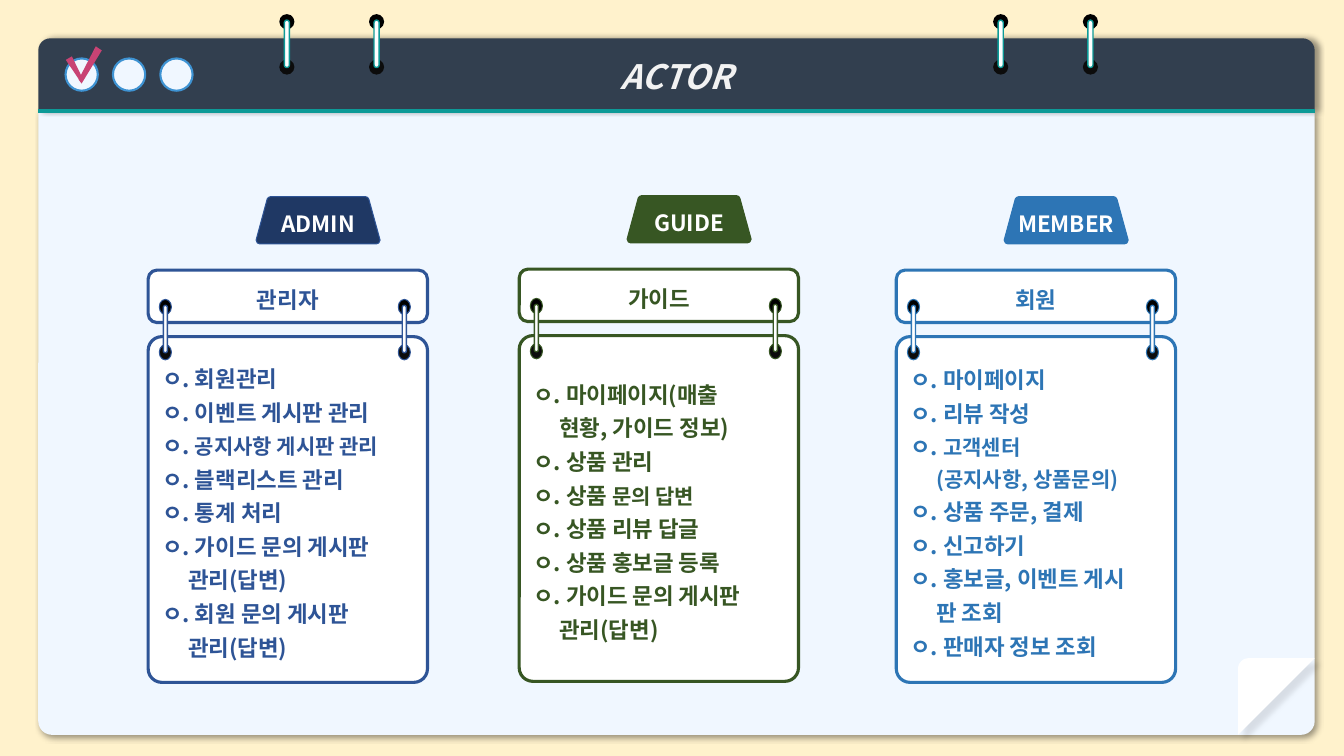
from pptx import Presentation
from pptx.dml.color import RGBColor
from pptx.enum.shapes import MSO_CONNECTOR, MSO_SHAPE as SHAPE
from pptx.enum.text import MSO_ANCHOR, PP_ALIGN as ALIGN
from pptx.oxml.ns import qn
from pptx.util import Inches, Pt
from lxml.etree import SubElement

THEME = {
    "font": "Noto Sans CJK KR",
    "cream": "FFF2CC", "page": "F0F7FF", "header": "323F4F", "teal": "0D9A97",
    "title": "F2F2F2", "white": "FFFFFF", "black": "000000", "hole": "0C0C0C",
    "dot": "3E93D3", "check": "C84374",
    "navy": "1F3864", "blue": "2E5496", "green": "375623", "sky": "2D75B5",
    "title_size": 24, "text_size": 16, "small_size": 15,
}
BADGE = [(0.12, 0), (0.88, 0), (0.9, 0.02), (0.91, 0.06), (1, 0.92), (0.99, 0.98),
         (0.97, 1), (0.03, 1), (0.01, 0.98), (0, 0.92), (0.09, 0.05), (0.1, 0.02)]
FOLD = [(0, 1), (0, 0.12), (0.01, 0.08), (0.04, 0.04), (0.08, 0.01), (0.13, 0), (1, 0)]
CHECK = [(1, 0.11), (0.13, 1), (0, 0.89), (0.74, 0)]

ACTORS = [
    (1.47, 2.68, "ADMIN", "관리자", "navy", "blue", [
        "ㅇ. 회원관리", "ㅇ. 이벤트 게시판 관리", "ㅇ. |공지사항 게시판 관리",
        "ㅇ. 블랙리스트 관리", "ㅇ. 통계 처리", "ㅇ. 가이드 문의 게시판", ">관리(답변)",
        "ㅇ. 회원 문의 게시판", ">관리(답변)"]),
    (5.15, 2.67, "GUIDE", "가이드", "green", "green", [
        "ㅇ. 마이페이지(매출", ">현황, 가이드 정보)", "ㅇ. 상품 관리", "ㅇ. 상품 |문의 답변",
        "ㅇ. 상품 리뷰 답글", "ㅇ. 상품 홍보글 등록", "ㅇ. 가이드 문의 게시판", ">관리(답변)"]),
    (8.89, 2.68, "MEMBER", "회원", "sky", "sky", [
        "ㅇ. 마이페이지", "ㅇ. 리뷰 작성", "ㅇ. |고객센터", ">|(공지사항, 상품문의)",
        "ㅇ. 상품 주문, 결제", "ㅇ. 신고하기", "ㅇ. 홍보글, 이벤트 게시", ">판 조회",
        "ㅇ. 판매자 정보 조회"]),
]

prs = Presentation()
prs.slide_width, prs.slide_height = Inches(13.33), Inches(7.5)
slide = prs.slides.add_slide(prs.slide_layouts[6])
slide.background.fill.solid()
slide.background.fill.fore_color.rgb = RGBColor.from_string(THEME["cream"])


def draw(kind, x, y, w, h, fill, line=None, width=1, adj=(), shadow=None):
    if isinstance(kind, list):
        points = [(Inches(x + px * w), Inches(y + py * h)) for px, py in kind]
        builder = slide.shapes.build_freeform(*points[0])
        builder.add_line_segments(points[1:], close=True)
        s = builder.convert_to_shape()
    else:
        s = slide.shapes.add_shape(kind, Inches(x), Inches(y), Inches(w), Inches(h))
    for i, value in enumerate(adj):
        s.adjustments[i] = value
    s.shadow.inherit = False
    s.fill.solid()
    s.fill.fore_color.rgb = RGBColor.from_string(THEME[fill])
    if line:
        s.line.color.rgb = RGBColor.from_string(THEME[line])
        s.line.width = Pt(width)
    else:
        s.line.fill.background()
    if shadow:
        alpha, blur, dist, angle = shadow
        effects = s._element.spPr.find(qn("a:effectLst"))
        outer = SubElement(effects, qn("a:outerShdw"), blurRad=str(Pt(blur)), dist=str(Pt(dist)),
                           dir=str(angle * 60000), algn="tl", rotWithShape="0")
        color = SubElement(outer, qn("a:srgbClr"), val=THEME["black"])
        SubElement(color, qn("a:alpha"), val=str(alpha * 1000))
    return s


def write(s, lines, color, align=ALIGN.CENTER, size="text_size", spacing=1.25, italic=False):
    tf = s.text_frame
    tf.word_wrap = True
    tf.vertical_anchor = MSO_ANCHOR.MIDDLE
    for i, line in enumerate(lines):
        p = tf.paragraphs[0] if i == 0 else tf.add_paragraph()
        p.alignment = align
        p.line_spacing = spacing
        if line.startswith(">"):
            p._p.get_or_add_pPr().set("marL", str(Inches(0.26)))
        for text, run_size in zip(line.lstrip(">").split("|"), (size, "small_size")):
            if text:
                r = p.add_run()
                r.text = text
                r.font.name = THEME["font"]
                r.font.size = Pt(THEME[run_size])
                r.font.bold = True
                r.font.italic = italic
                r.font.color.rgb = RGBColor.from_string(THEME[color])
                SubElement(r._r.get_or_add_rPr(), qn("a:ea"), typeface=THEME["font"])


draw(SHAPE.ROUND_2_SAME_RECTANGLE, 0.38, 1.1, 12.66, 6.19, "page",
     adj=(0, 0.022), shadow=(40, 4, 3, 45))
header = draw(SHAPE.ROUND_2_SAME_RECTANGLE, 0.38, 0.38, 12.66, 0.72, "header",
              adj=(0.167, 0), shadow=(40, 4, 3, 0))
write(header, ["ACTOR"], "title", size="title_size", spacing=1.0, italic=True)

rule = slide.shapes.add_connector(MSO_CONNECTOR.STRAIGHT, Inches(0.38), Inches(1.1),
                                  Inches(13.04), Inches(1.1))
rule.line.color.rgb = RGBColor.from_string(THEME["teal"])
rule.line.width = Pt(2.5)
SubElement(rule._element.spPr, qn("a:effectLst"))

for i in range(3):
    draw(SHAPE.OVAL, 0.65 + i * 0.47, 0.58, 0.32, 0.32, "page", "dot", 1.5)
tick = draw(SHAPE.TRAPEZOID, 0.71, 0.56, 0.07, 0.25, "check", adj=(0.25,))
tick.rotation = 150
draw(CHECK, 0.78, 0.46, 0.23, 0.37, "check")
draw(FOLD, 12.28, 6.53, 0.76, 0.76, "white", shadow=(10, 4, 6, 45))

rings = [(x, 0.14, 0.15, 0.05, None, "teal") for x in (2.77, 3.66, 9.85, 10.74)]

for x, y, role, name, badge_fill, color, duties in ACTORS:
    card = draw(SHAPE.ROUNDED_RECTANGLE, x, y, 2.77, 0.52, "white", color, 2.25, (0.167,))
    write(card, [name], color)
    card = draw(SHAPE.ROUNDED_RECTANGLE, x, y + 0.66, 2.77, 3.43, "white", color, 2.25, (0.049,))
    write(card, duties, color, ALIGN.LEFT)
    badge = draw(BADGE, x + 1.07, y - 0.73, 1.23, 0.47, badge_fill, color, 0.75)
    write(badge, [role], "white")
    rings += [(x + dx, y + 0.29, 0.12, 0.04, color, color) for dx in (0.11, 2.48)]

for x, y, hole_w, bar_w, hole_line, bar_line in rings:
    draw(SHAPE.OVAL, x, y + 0.45, hole_w, 0.15, "hole", hole_line, 0.75)
    draw(SHAPE.OVAL, x, y, hole_w, 0.15, "black", hole_line, 0.75)
    draw(SHAPE.ROUNDED_RECTANGLE, x + (hole_w - bar_w) / 2, y + 0.06, bar_w, 0.47,
         "white", bar_line, 1, (0.5,))

prs.save("out.pptx")
